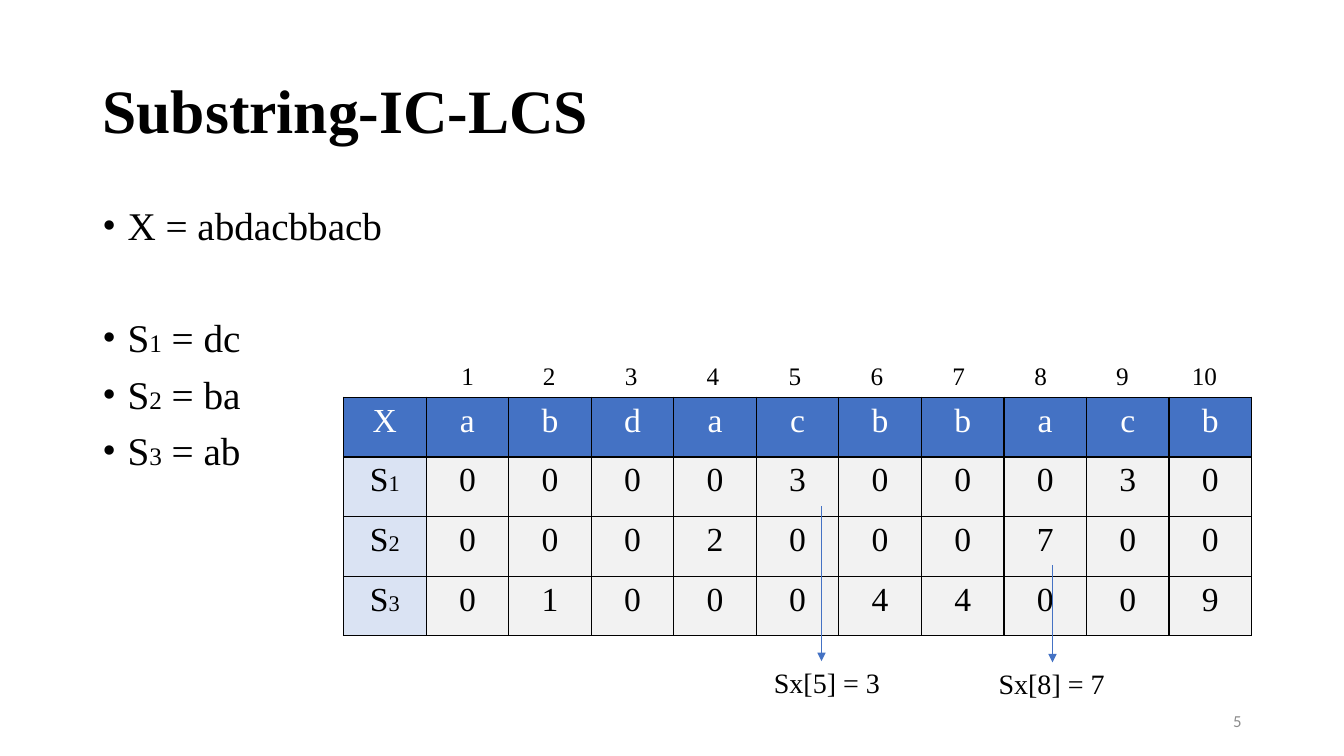
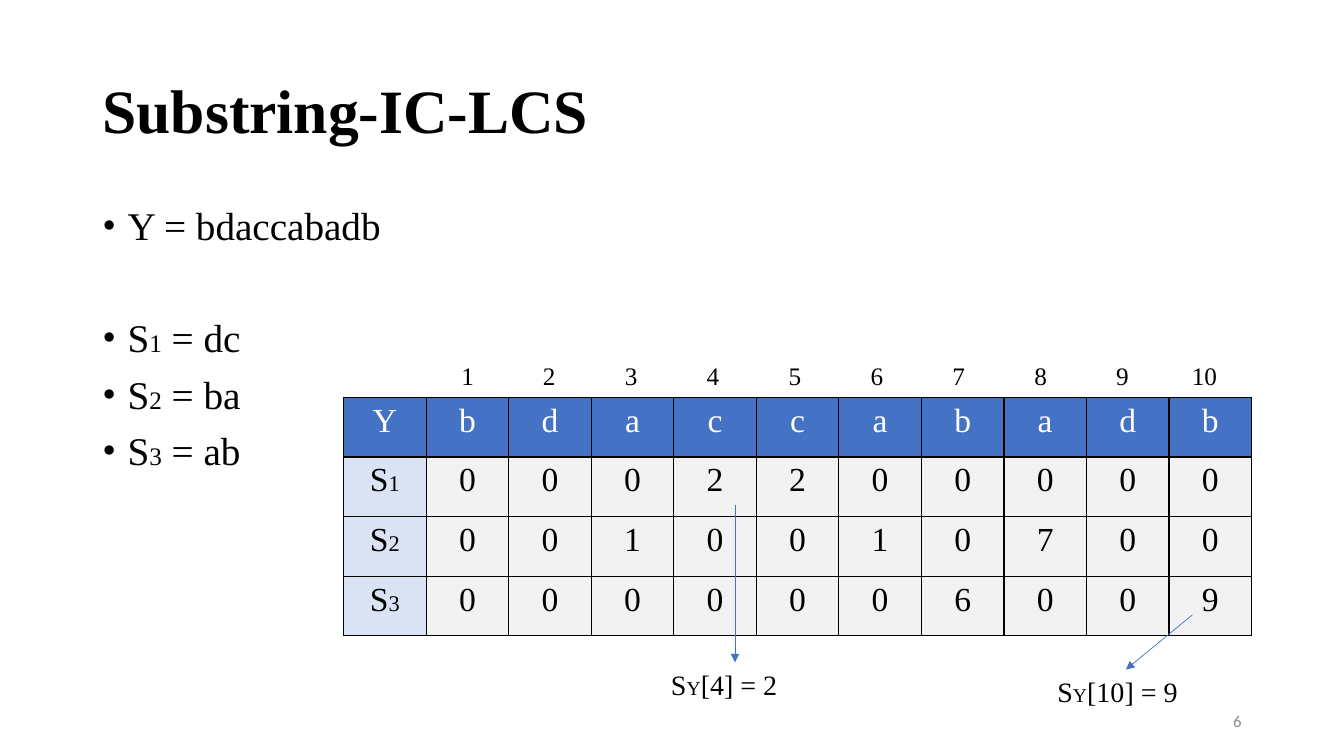
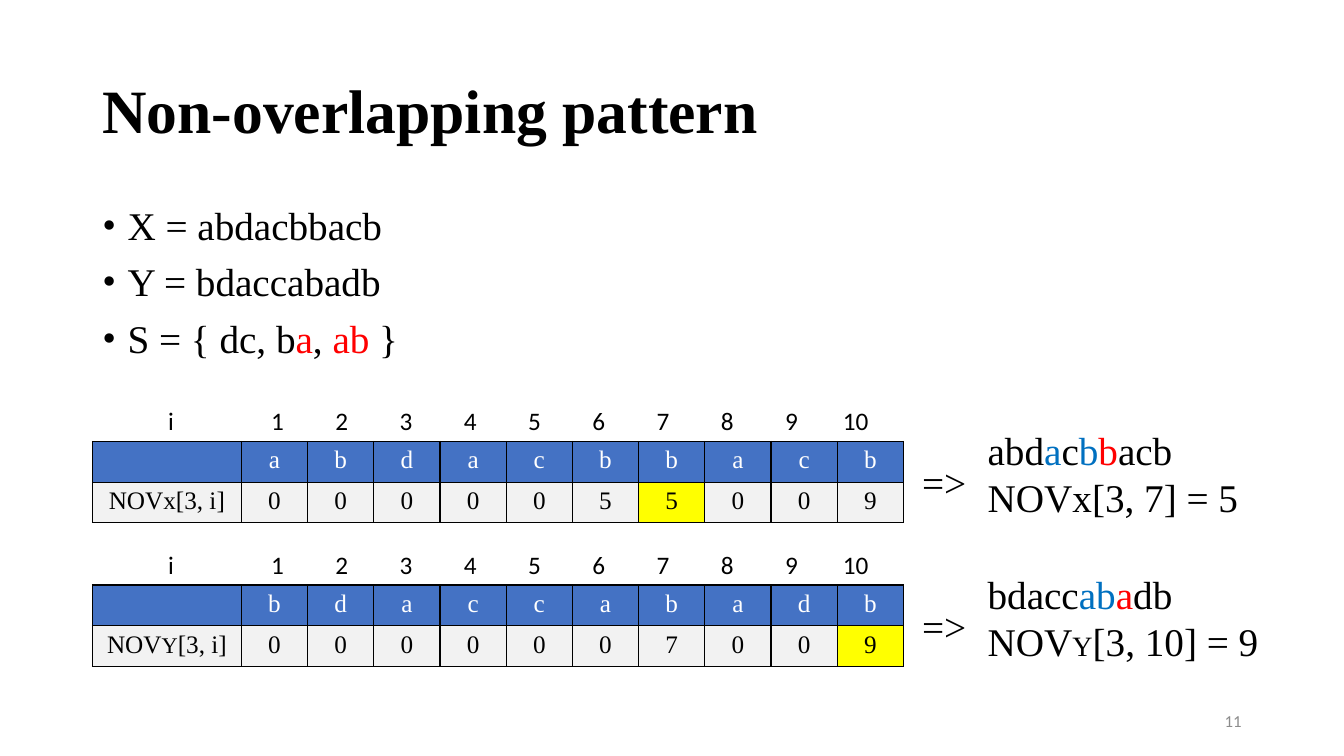
from dataclasses import dataclass

from lxml.etree import SubElement
from pptx import Presentation
from pptx.dml.color import RGBColor
from pptx.enum.shapes import MSO_CONNECTOR
from pptx.enum.text import MSO_ANCHOR, PP_ALIGN
from pptx.oxml.ns import qn
from pptx.util import Inches, Pt


@dataclass(frozen=True)
class Theme:
    serif: str = "Times New Roman"
    sans: str = "Calibri"
    black: str = "000000"
    white: str = "FFFFFF"
    blue: str = "4472C4"
    pale_blue: str = "DAE3F3"
    pale_grey: str = "F2F2F2"
    grey: str = "8C8C8C"
    yellow: str = "FFFF00"
    red: str = "FF0000"
    text_blue: str = "0070C0"
    title: int = 44
    body: int = 28
    cell: int = 24
    note: int = 20
    small: int = 18
    page: int = 12


@dataclass(frozen=True)
class Run:
    text: str
    size: int = None
    color: str = None


T = Theme()
COLS, ROWS = 32, 18
WIDTH, HEIGHT = Inches(13.333), Inches(7.5)
LEFT, CONTENT = 2.2, 27.6
X, Y = "abdacbbacb", "bdaccabadb"


def col(n):
    return round(n * WIDTH / COLS)


def row(n):
    return round(n * HEIGHT / ROWS)


def grid(x, y, w, h):
    return col(x), row(y), col(w), row(h)


def red(text):
    return Run(text, color=T.red)


def blue(text):
    return Run(text, color=T.text_blue)


def add_runs(p, runs, size, color=T.black, font=T.serif, bold=False):
    """Write runs into p; plain strings take the given style."""
    for item in runs:
        run = Run(item) if isinstance(item, str) else item
        r = p.add_run()
        r.text = run.text
        r.font.name = font
        r.font.size = Pt(run.size or size)
        r.font.bold = bold
        r.font.color.rgb = RGBColor.from_string(run.color or color)


def add_text(s, box, paragraphs, size, anchor=MSO_ANCHOR.TOP,
             align=PP_ALIGN.LEFT, **style):
    tf = s.shapes.add_textbox(*grid(*box)).text_frame
    tf.word_wrap = True
    tf.vertical_anchor = anchor
    for i, runs in enumerate(paragraphs):
        p = tf.add_paragraph() if i else tf.paragraphs[0]
        p.alignment = align
        add_runs(p, runs, size, **style)
    return tf


def add_bullets(s, paragraphs, gaps):
    """Bulleted body text; gaps holds the space before each paragraph."""
    tf = add_text(s, (LEFT, 4.8, CONTENT, 11.42), paragraphs, T.body)
    for p, gap in zip(tf.paragraphs, gaps):
        pPr = p._p.get_or_add_pPr()
        pPr.set("marL", str(Inches(0.25)))
        pPr.set("indent", str(-Inches(0.25)))
        SubElement(pPr, qn("a:buFont"), typeface=T.serif)
        SubElement(pPr, qn("a:buChar"), char="•")
        p.line_spacing = 0.9
        if gap:
            p.space_before = Pt(gap)


def add_index_row(s, box, labels, first_tab, pitch, font=T.serif):
    """One line of labels, centred on evenly spaced tab stops."""
    tf = add_text(s, box, [["\t".join(labels)]], T.small, font=font)
    tabs = SubElement(tf.paragraphs[0]._p.get_or_add_pPr(), qn("a:tabLst"))
    for i in range(len(labels) - 1):
        SubElement(tabs, qn("a:tab"), pos=str(col(first_tab + i * pitch)), algn="ctr")


def add_borders(cell):
    tcPr = cell._tc.get_or_add_tcPr()
    for side in ("lnL", "lnR", "lnT", "lnB"):
        ln = SubElement(tcPr, qn(f"a:{side}"), w=str(Pt(1)))
        fill = SubElement(ln, qn("a:solidFill"))
        SubElement(fill, qn("a:srgbClr"), val=T.black)


def add_matrix(s, box, header, rows, size, label_width, label_fill, marked=()):
    """Table of single characters; each row is a label's runs and its values."""
    lines = [header, *rows]
    count = len(header[1]) + 1
    table = s.shapes.add_table(len(lines), count, *grid(*box)).table
    table.first_row = table.horz_banding = False
    value_width = (box[2] - label_width) / (count - 1)
    for j, column in enumerate(table.columns):
        column.width = col(value_width if j else label_width)
    for i, (label, values) in enumerate(lines):
        table.rows[i].height = row(box[3] / len(lines))
        for j, runs in enumerate([label, *values]):
            cell = table.cell(i, j)
            add_borders(cell)
            if i == 0:
                fill = T.blue
            elif (i, j) in marked:
                fill = T.yellow
            else:
                fill = T.pale_grey if j else label_fill
            cell.fill.solid()
            cell.fill.fore_color.rgb = RGBColor.from_string(fill)
            p = cell.text_frame.paragraphs[0]
            p.alignment = PP_ALIGN.CENTER
            add_runs(p, runs, size, T.black if i else T.white)


def add_arrow(s, x1, y1, x2, y2):
    line = s.shapes.add_connector(MSO_CONNECTOR.STRAIGHT,
                                  col(x1), row(y1), col(x2), row(y2))
    line.line.width = Pt(0.5)
    line.line.color.rgb = RGBColor.from_string(T.blue)
    SubElement(line.line._get_or_add_ln(), qn("a:tailEnd"), type="triangle")
    SubElement(line._element.spPr, qn("a:effectLst"))


def new_slide(prs, title, number):
    s = prs.slides.add_slide(prs.slide_layouts[6])
    tf = add_text(s, (LEFT, 0.96, CONTENT, 3.48), [[title]], T.title,
                  MSO_ANCHOR.MIDDLE, bold=True)
    tf.paragraphs[0].line_spacing = 0.9
    add_text(s, (22.6, 16.68, 7.2, 0.96), [[str(number)]], T.page,
             MSO_ANCHOR.MIDDLE, PP_ALIGN.RIGHT, color=T.grey, font=T.sans)
    return s


def substring_slide(prs, number, name, word, values, callouts):
    """Match table of one word; a callout is an arrow, a label corner and runs."""
    s = new_slide(prs, "Substring-IC-LCS", number)
    patterns = [["S", Run(str(i), T.small), f" = {pattern}"]
                for i, pattern in enumerate(("dc", "ba", "ab"), 1)]
    add_bullets(s, [[f"{name} = {word}"], *patterns], (0, 50, 10, 10))
    rows = [(["S", Run(str(i), 16)], v) for i, v in enumerate(values, 1)]
    add_matrix(s, (8.18, 9.46, 21.62, 5.68), ([name], word), rows,
               T.cell, 21.62 / 11, T.pale_blue)
    add_index_row(s, (10.75, 8.47, 19.06, 0.96),
                  [str(i) for i in range(1, 11)], 2.09, 1.95)
    for arrow, corner, runs in callouts:
        add_arrow(s, *arrow)
        add_text(s, (*corner, 3.6, 1.06), [runs], T.note)


def pattern_block(s, top, word, label, values, marked, result):
    """Index row, two-row table and the result to its right."""
    add_matrix(s, (LEFT, top, 19.32, 1.94), ([], word), [(label, values)],
               T.small, 3.55, T.pale_grey, {(1, marked)})
    add_index_row(s, (3.77, top - 0.97, 17.98, 0.96),
                  ["i", *(str(i) for i in range(1, 11))], 2.6, 1.53, T.sans)
    add_text(s, (21.72, top + 0.29, 1.56, 1.37), [["=>"]], T.body)
    add_text(s, (23.28, top - 0.47, 8.06, 2.5), result, T.body)


def non_overlapping_slide(prs, number):
    s = new_slide(prs, "Non-overlapping pattern", number)
    add_bullets(s, [[f"X = {X}"], [f"Y = {Y}"],
                    ["S = { dc, b", red("a"), ", ", red("ab"), " }"]], (0, 10, 10))
    pattern_block(s, 10.51, X, ["NOVx[3, i]"], "0000055009", 7,
                  [["abd", blue("a"), "c", blue("b"), red("b"), "acb"],
                   ["NOVx[3, 7] = 5"]])
    pattern_block(s, 13.93, Y, ["NOV", Run("Y", 16), "[3, i]"], "0000007009", 10,
                  [["bdacc", blue("ab"), red("a"), "db"],
                   ["NOV", Run("Y", 20), "[3, 10] = 9"]])


def main():
    prs = Presentation()
    prs.slide_width, prs.slide_height = WIDTH, HEIGHT
    substring_slide(prs, 5, "X", X, ("0000300030", "0002000700", "0100044009"), [
        ((19.56, 12.05, 19.56, 15.74), (18.19, 15.72), ["Sx[5] = 3"]),
        ((25.06, 13.46, 25.06, 15.77), (23.54, 15.74), ["Sx[8] = 7"]),
    ])
    sub_y = Run("Y", 14)
    substring_slide(prs, 6, "Y", Y, ("0002200000", "0010010700", "0000006009"), [
        ((28.39, 14.64, 26.81, 15.94), (24.94, 15.94), ["S", sub_y, "[10] = 9"]),
        ((17.5, 12.02, 17.5, 15.77), (15.74, 15.77), ["S", sub_y, "[4] = 2"]),
    ])
    non_overlapping_slide(prs, 11)
    prs.save("out.pptx")


if __name__ == "__main__":
    main()
